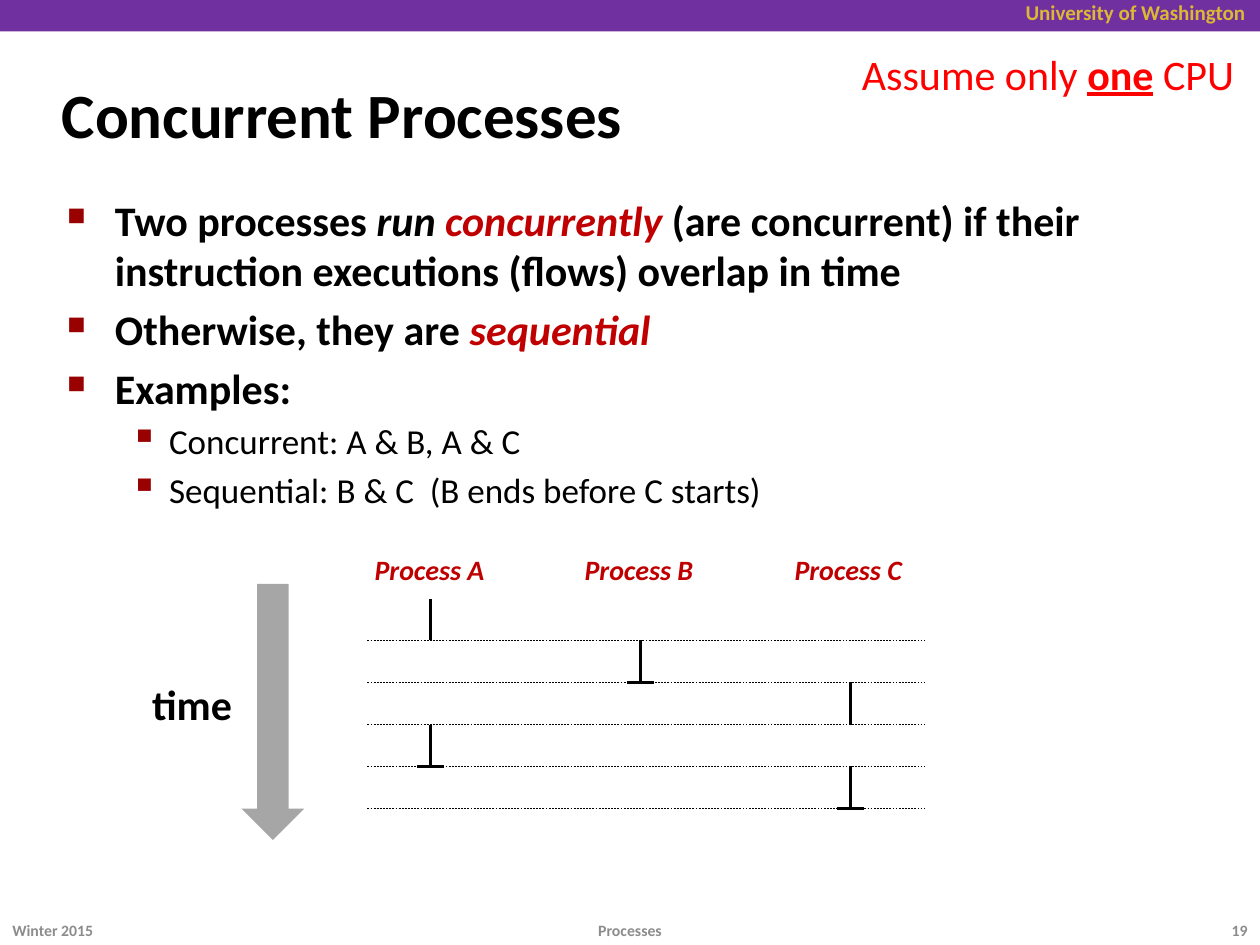
from dataclasses import dataclass

from lxml.etree import SubElement
from pptx import Presentation
from pptx.dml.color import RGBColor
from pptx.enum.dml import MSO_LINE
from pptx.enum.shapes import MSO_CONNECTOR, MSO_SHAPE
from pptx.enum.text import MSO_ANCHOR, PP_ALIGN
from pptx.oxml.ns import qn
from pptx.util import Inches, Pt


@dataclass(frozen=True)
class Theme:
    font: str = "Calibri"
    black: str = "000000"
    accent: str = "C00000"
    bullet: str = "990000"
    banner: str = "7030A0"
    gold: str = "DCB834"
    gray: str = "8C8C8C"
    arrow: str = "A6A6A6"
    alert: str = "FF0000"
    title_size: int = 36
    body_size: int = 24
    detail_size: int = 20
    label_size: int = 16
    banner_size: int = 12
    footer_size: int = 9


@dataclass(frozen=True)
class Box:
    column: float
    row: float
    columns: float
    rows: float

    def inner(self, column, row, columns, rows):
        return Box(self.column + column, self.row + row, columns, rows)

    def place(self):
        return [grid(n) for n in (self.column, self.row, self.columns, self.rows)]


THEME = Theme()
CELLS_PER_INCH = 12
PAGE = Box(0, 0, 120, 90)


def grid(cells):
    return Inches(cells / CELLS_PER_INCH)


def color(name):
    return RGBColor.from_string(name)


def style(font, size, shade, bold=False, italic=False):
    font.name = THEME.font
    font.size = Pt(size)
    font.bold = bold
    font.italic = italic
    font.color.rgb = color(shade)


def add_frame(slide, box, wrap=True, anchor=MSO_ANCHOR.TOP):
    frame = slide.shapes.add_textbox(*box.place()).text_frame
    frame.word_wrap = wrap
    frame.vertical_anchor = anchor
    return frame


def add_label(slide, box, text, size, shade, bold=True, italic=False,
              align=PP_ALIGN.LEFT, wrap=True, anchor=MSO_ANCHOR.TOP):
    paragraph = add_frame(slide, box, wrap, anchor).paragraphs[0]
    paragraph.text = text
    paragraph.alignment = align
    style(paragraph.font, size, shade, bold, italic)


def add_block(slide, box, preset, fill):
    shape = slide.shapes.add_shape(preset, *box.place())
    shape.shadow.inherit = False
    shape.fill.solid()
    shape.fill.fore_color.rgb = color(fill)
    shape.line.fill.background()


def add_line(slide, box, width=2, dash=None):
    left, top, across, down = box.place()
    line = slide.shapes.add_connector(
        MSO_CONNECTOR.STRAIGHT, left, top, left + across, top + down)
    line.line.color.rgb = color(THEME.black)
    line.line.width = Pt(width)
    if dash:
        line.line.dash_style = dash
    SubElement(line._element.spPr, qn("a:effectLst"))


def add_bullet(paragraph, character, percent, margin, hanging):
    properties = paragraph._p.get_or_add_pPr()
    properties.set("marL", str(Inches(margin)))
    properties.set("indent", str(-Inches(hanging)))
    bullet_color = SubElement(properties, qn("a:buClr"))
    SubElement(bullet_color, qn("a:srgbClr"), val=THEME.bullet)
    SubElement(properties, qn("a:buSzPct"), val=str(percent * 1000))
    SubElement(properties, qn("a:buChar"), char=character)


def add_banner(slide, box):
    add_block(slide, box, MSO_SHAPE.RECTANGLE, THEME.banner)
    add_label(slide, box.inner(88, -0.6, 31.8, 3.6), "University of Washington",
              THEME.banner_size, THEME.gold, align=PP_ALIGN.RIGHT)


def add_heading(slide, box):
    add_label(slide, box, "Concurrent Processes", THEME.title_size,
              THEME.black, anchor=MSO_ANCHOR.MIDDLE)


def add_assumption(slide, box):
    paragraph = add_frame(slide, box, wrap=False).paragraphs[0]
    style(paragraph.font, THEME.body_size, THEME.alert)
    for text, stressed in (("Assume only ", False), ("one", True), (" CPU", False)):
        run = paragraph.add_run()
        run.text = text
        if stressed:
            run.font.bold = True
            run.font.underline = True


def add_body(slide, box):
    items = [
        (0, [("Two processes ", False, THEME.black),
             ("run ", True, THEME.black),
             ("concurrently ", True, THEME.accent),
             ("(are concurrent) if their instruction executions (flows) "
              "overlap in time", False, THEME.black)]),
        (0, [("Otherwise, they are ", False, THEME.black),
             ("sequential", True, THEME.accent)]),
        (0, [("Examples:", False, THEME.black)]),
        (1, [("Concurrent: A & B, A & C", False, THEME.black)]),
        (1, [("Sequential: B & C  (B ends before C starts)", False, THEME.black)]),
    ]
    levels = [(THEME.body_size, True, ("■", 60, 0.38, 0.38)),
              (THEME.detail_size, False, ("▪", 110, 0.81, 0.31))]
    frame = add_frame(slide, box)
    for index, (level, runs) in enumerate(items):
        paragraph = frame.add_paragraph() if index else frame.paragraphs[0]
        size, bold, bullet = levels[level]
        paragraph.level = level
        add_bullet(paragraph, *bullet)
        if index:
            paragraph.space_before = Pt(size * 0.2)
        style(paragraph.font, size, THEME.black, bold)
        for text, italic, shade in runs:
            run = paragraph.add_run()
            run.text = text
            run.font.italic = italic
            run.font.color.rgb = color(shade)


def add_time_arrow(slide, box):
    add_label(slide, box.inner(0, 12, 10.7, 6), "time", THEME.body_size, THEME.black)
    add_block(slide, box.inner(9.7, 3.6, 6, 24.4), MSO_SHAPE.DOWN_ARROW, THEME.arrow)


def add_timeline(slide, box):
    lane_gap, step, cap = 20, 4, 2.6
    first_lane, first_row = 6.5, 5
    schedule = {"A": (0, 3), "B": (1,), "C": (2, 4)}
    for number in range(1, 6):
        add_line(slide, box.inner(0.5, first_row + number * step, 53, 0),
                 0.25, MSO_LINE.DASH)
    for lane, (name, slots) in enumerate(schedule.items()):
        center = first_lane + lane * lane_gap
        add_label(slide, box.inner(lane * lane_gap, 0, 13, 4.4), f"Process {name}",
                  THEME.label_size, THEME.accent, italic=True, wrap=False)
        for slot in slots:
            add_line(slide, box.inner(center, first_row + slot * step, 0, step))
        finish = first_row + (slots[-1] + 1) * step
        add_line(slide, box.inner(center - cap / 2, finish, cap, 0))


def add_footer(slide, box):
    entries = [(0, 36, "Winter 2015", PP_ALIGN.LEFT),
               (41, 38, "Processes", PP_ALIGN.CENTER),
               (112, 8, "19", PP_ALIGN.RIGHT)]
    for column, columns, text, align in entries:
        add_label(slide, box.inner(column, 0, columns, box.rows), text,
                  THEME.footer_size, THEME.gray, align=align,
                  anchor=MSO_ANCHOR.MIDDLE)


def main():
    presentation = Presentation()
    presentation.slide_width = grid(PAGE.columns)
    presentation.slide_height = grid(PAGE.rows)
    slide = presentation.slides.add_slide(presentation.slide_layouts[6])
    add_banner(slide, PAGE.inner(0, 0, PAGE.columns, 3))
    add_heading(slide, PAGE.inner(4.7, 5.8, 110.3, 10))
    add_body(slide, PAGE.inner(5.2, 17.9, 109.8, 65.3))
    add_time_arrow(slide, PAGE.inner(13.3, 52, 16, 28))
    add_timeline(slide, PAGE.inner(34.5, 52, 54, 25))
    add_footer(slide, PAGE.inner(0, 86.2, PAGE.columns, 4.8))
    add_assumption(slide, PAGE.inner(80.9, 4, 38.9, 6))
    presentation.save("out.pptx")


if __name__ == "__main__":
    main()
